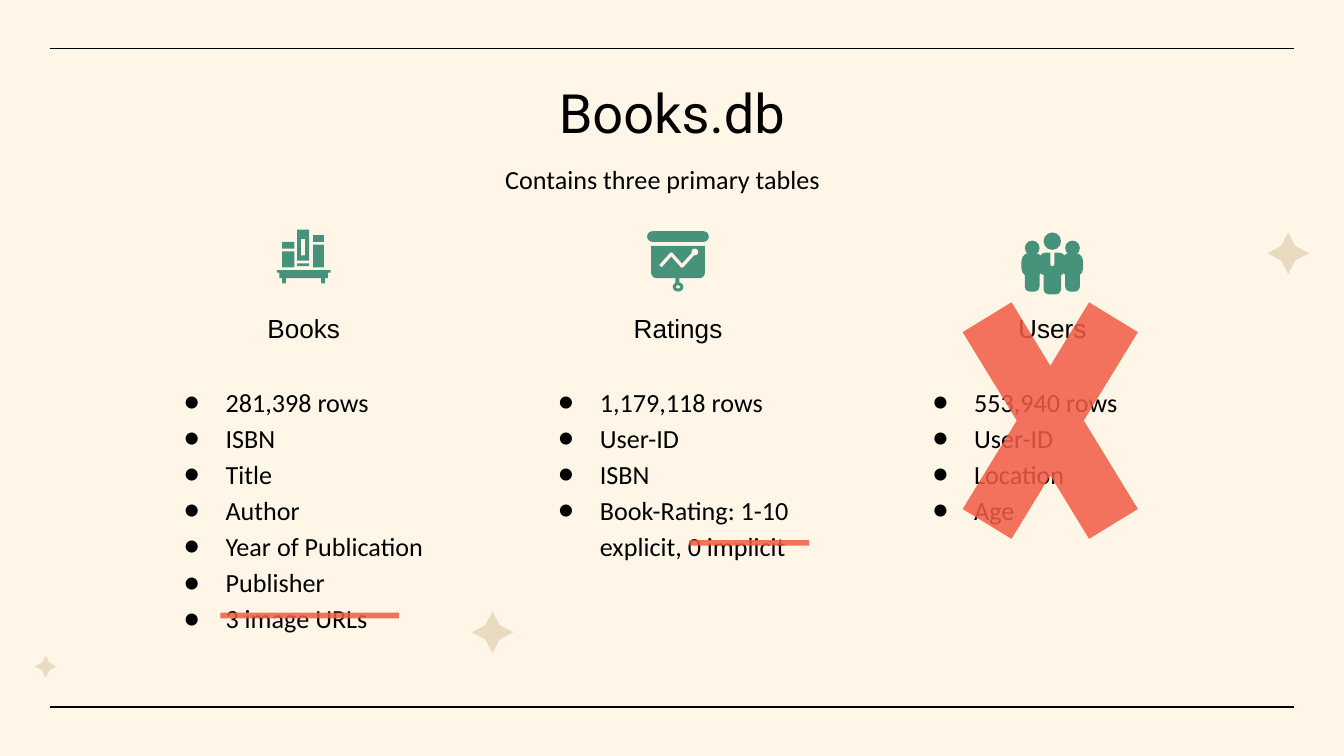
from lxml.etree import SubElement
from pptx import Presentation
from pptx.dml.color import RGBColor
from pptx.enum.shapes import MSO_CONNECTOR as Link, MSO_SHAPE as Kind
from pptx.enum.text import MSO_ANCHOR as Anchor, PP_ALIGN as Align
from pptx.oxml.ns import qn
from pptx.util import Inches, Pt

CREAM = RGBColor(0xFF, 0xF6, 0xE8)
SAND = RGBColor(0xEA, 0xDA, 0xC0)
GREEN = RGBColor(0x47, 0x92, 0x7B)
RED = RGBColor(0xF2, 0x5C, 0x47)
BLACK = RGBColor(0, 0, 0)

COL_W, COL_STEP = 2.38, 2.785
COLS_X, COLS_Y = 1.07, 1.71


def fade(props, percent):
    """Make the solid colour inside props partly transparent."""
    tint = props.find(".//" + qn("a:srgbClr"))
    SubElement(tint, qn("a:alpha")).set("val", str(percent * 1000))


def paint(shape, color):
    shape.shadow.inherit = False
    shape.fill.solid()
    shape.fill.fore_color.rgb = color
    shape.line.fill.background()
    return shape


def put(slide, kind, x, y, w, h, color=GREEN, adj=None):
    shape = slide.shapes.add_shape(kind, *map(Inches, (x, y, w, h)))
    if adj is not None:
        shape.adjustments[0] = adj
    return paint(shape, color)


def draw_path(slide, points, closed=True):
    spots = [(Inches(x), Inches(y)) for x, y in points]
    pen = slide.shapes.build_freeform(*spots[0])
    pen.add_line_segments(spots[1:], close=closed)
    return paint(pen.convert_to_shape(), GREEN)


def rule(slide, x, y, w, color=BLACK, width=0.75):
    line = slide.shapes.add_connector(
        Link.STRAIGHT, Inches(x), Inches(y), Inches(x + w), Inches(y))
    line.line.color.rgb = color
    line.line.width = Pt(width)
    SubElement(line._element.spPr, qn("a:effectLst"))
    return line


def strike(slide, x, y, w):
    line = rule(slide, x, y, w, RED, 3)
    fade(line._element.spPr, 85)


def write(slide, x, y, w, h, lines, font, size=14, align=Align.LEFT,
          anchor=Anchor.TOP, space=1.0):
    box = slide.shapes.add_textbox(*map(Inches, (x, y, w, h)))
    frame = box.text_frame
    frame.word_wrap = True
    frame.vertical_anchor = anchor
    frame.margin_left = frame.margin_right = Inches(0.1)
    frame.margin_top = frame.margin_bottom = Inches(0.1)
    frame.text = "\n".join(lines)
    for para in frame.paragraphs:
        para.alignment = align
        para.line_spacing = space
        for run in para.runs:
            run.font.name = font
            run.font.size = Pt(size)
            run.font.color.rgb = BLACK
    return frame


def indent(para, left, first=0, mark=None):
    props = para._p.get_or_add_pPr()
    props.set("marL", str(Inches(left)))
    props.set("indent", str(Inches(first)))
    if mark:
        tint = SubElement(props, qn("a:buClr"))
        SubElement(tint, qn("a:srgbClr")).set("val", str(BLACK))
        SubElement(props, qn("a:buFont")).set("typeface", "Calibri")
        SubElement(props, qn("a:buChar")).set("char", mark)


def add_frame(slide, x, y, w, h):
    for top in (y, y + h):
        rule(slide, x, top, w)


def add_stars(slide):
    for x, y, size in ((0.26, 4.88, 0.16), (9.43, 1.73, 0.31), (3.51, 4.55, 0.31)):
        put(slide, Kind.STAR_4_POINT, x, y, size, size, SAND, 0.243)


def add_head(slide, x, y, w):
    write(slide, x, y, w, 0.63, ["Books.db"], "Roboto", 29, Align.CENTER)
    sub = write(slide, x + 2.73, y + 0.59, 2.99, 0.63,
                ["Contains three primary tables"], "Calibri", space=1.15)
    indent(sub.paragraphs[0], 0.15)


def draw_books(slide, mid, y):
    for dx, dy, w, h in ((-0.16, 0.09, 0.09, 0.05), (-0.16, 0.16, 0.09, 0.12),
                         (-0.05, 0, 0.09, 0.23), (-0.05, 0.25, 0.09, 0.02),
                         (0.07, 0.04, 0.08, 0.05), (0.07, 0.11, 0.08, 0.17)):
        put(slide, Kind.RECTANGLE, mid + dx, y + dy, w, h)
    put(slide, Kind.RECTANGLE, mid - 0.02, y + 0.07, 0.03, 0.12, CREAM)
    half = [(0.2, 0.3), (0.2, 0.32), (0.18, 0.32), (0.18, 0.36), (0.16, 0.36),
            (0.16, 0.4), (0.13, 0.4), (0.13, 0.36)]
    shelf = half + [(-dx, dy) for dx, dy in reversed(half)]
    draw_path(slide, [(mid + dx, y + dy) for dx, dy in shelf])


def draw_board(slide, mid, y):
    put(slide, Kind.ROUNDED_RECTANGLE, mid - 0.23, y + 0.01, 0.46, 0.08, adj=0.5)
    put(slide, Kind.ROUND_2_SAME_RECTANGLE, mid - 0.2, y + 0.12, 0.4, 0.24).rotation = 180
    put(slide, Kind.RECTANGLE, mid - 0.02, y + 0.36, 0.03, 0.04)
    put(slide, Kind.DONUT, mid - 0.04, y + 0.39, 0.08, 0.07, adj=0.33)
    trend = [(-0.13, 0.27), (-0.05, 0.18), (0.03, 0.27), (0.13, 0.16)]
    graph = draw_path(slide, [(mid + dx, y + dy) for dx, dy in trend], False)
    graph.fill.background()
    graph.line.color.rgb = CREAM
    graph.line.width = Pt(1.75)
    put(slide, Kind.OVAL, mid + 0.1, y + 0.14, 0.05, 0.05, CREAM)


def draw_people(slide, mid, y):
    for dx in (-0.15, 0.15):
        put(slide, Kind.OVAL, mid + dx - 0.055, y + 0.08, 0.11, 0.11)
        put(slide, Kind.ROUNDED_RECTANGLE, mid + dx - 0.08, y + 0.17, 0.16, 0.18, adj=0.4)
        put(slide, Kind.ROUNDED_RECTANGLE, mid + dx - 0.055, y + 0.26, 0.11, 0.2, adj=0.35)
    put(slide, Kind.ROUNDED_RECTANGLE, mid - 0.1, y + 0.17, 0.2, 0.17, adj=0.3)
    put(slide, Kind.ROUNDED_RECTANGLE, mid - 0.065, y + 0.26, 0.13, 0.22, adj=0.3)
    put(slide, Kind.OVAL, mid - 0.08, y + 0.01, 0.16, 0.16, CREAM)
    put(slide, Kind.OVAL, mid - 0.065, y + 0.02, 0.13, 0.13)
    put(slide, Kind.ROUNDED_RECTANGLE, mid - 0.015, y + 0.16, 0.03, 0.11, CREAM, 0.5)


def add_table_card(slide, x, y, w, name, icon, items):
    icon(slide, x + w / 2, y)
    write(slide, x, y + 0.41, w, 0.54, [name], "Arial",
          align=Align.CENTER, anchor=Anchor.BOTTOM)
    frame = write(slide, x + 0.2, y + 1.03, w, 0.98, items, "Calibri", space=1.15)
    for para in frame.paragraphs:
        indent(para, 0.31, -0.31, "●")


def add_marks(slide):
    """Cross out the unused table and fields."""
    cross = put(slide, Kind.MATH_MULTIPLY, 6.91, 1.65, 1.81, 2.96, RED)
    fade(cross._element.spPr, 85)
    strike(slide, 1.64, 4.58, 1.33)
    strike(slide, 5.13, 4.04, 0.89)


def main():
    deck = Presentation()
    deck.slide_width = Inches(10)
    deck.slide_height = deck.slide_width * 9 // 16
    slide = deck.slides.add_slide(deck.slide_layouts[6])
    slide.background.fill.solid()
    slide.background.fill.fore_color.rgb = CREAM

    add_frame(slide, 0.37, 0.36, 9.26, 4.9)
    add_stars(slide)
    add_head(slide, 0.78, 0.49, 8.44)
    cards = (
        ("Books", draw_books, ["281,398 rows", "ISBN", "Title", "Author",
                               "Year of Publication", "Publisher", "3 image URLs"]),
        ("Ratings", draw_board, ["1,179,118 rows", "User-ID", "ISBN",
                                 "Book-Rating: 1-10 explicit, 0 implicit"]),
        ("Users", draw_people, ["553,940 rows", "User-ID", "Location", "Age"]),
    )
    for i, card in enumerate(cards):
        add_table_card(slide, COLS_X + i * COL_STEP, COLS_Y, COL_W, *card)
    add_marks(slide)
    deck.save("out.pptx")


if __name__ == "__main__":
    main()
